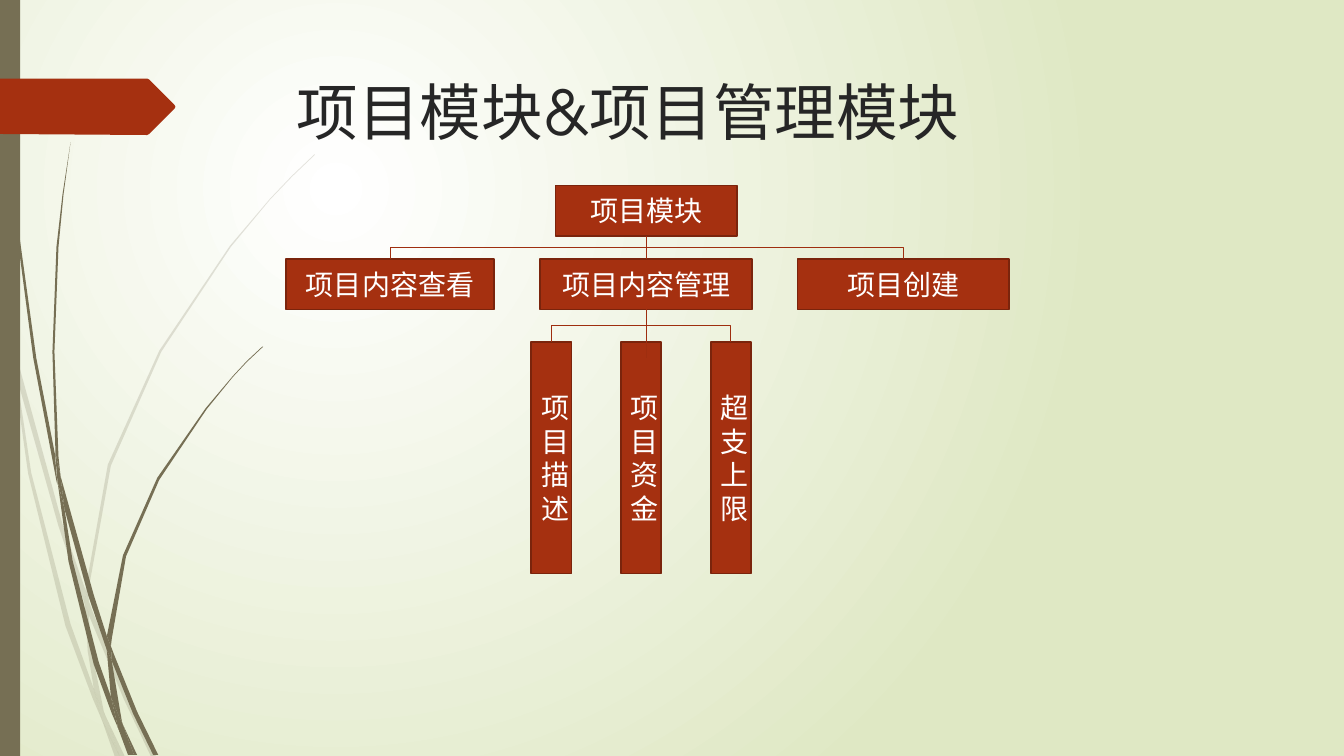
from dataclasses import dataclass

import pptx
import pptx.dml.color
import pptx.enum.dml
import pptx.enum.shapes
import pptx.enum.text
import pptx.oxml.ns
import pptx.util
from lxml import etree

PX = 9144  # EMU in one px: 100 px to the inch
FONT = "TeX Gyre Adventor"
RUST, RUST_EDGE, LINK, OLIVE = "A53010", "7A240C", "9E2E0F", "766F54"

PALE_GRASS = [
    [(11, 350), (9, 322), (0, 282), (0, 299), (10, 344)],
    [(58, 522), (84, 599), (85, 586), (62, 520), (14, 345), (17, 376)],
    [(92, 607), (88, 596), (88, 610), (123, 694), (150, 751), (155, 751), (127, 692)],
    [(119, 751), (124, 751), (105, 711)],
    [(93, 683), (70, 619), (31, 469), (17, 376), (11, 350), (28, 470), (65, 621),
     (92, 693), (101, 714), (99, 707)],
    [(84, 599), (87, 646), (93, 683), (96, 692), (105, 711), (103, 706), (91, 646),
     (88, 610), (88, 608)],
    [(88, 584), (110, 462), (160, 349), (229, 245), (268, 198), (290, 175), (312, 154),
     (312, 153), (289, 175), (268, 197), (228, 244), (158, 348), (107, 461), (85, 584),
     (85, 586), (88, 596)],
    [(101, 714), (114, 751), (119, 751)],
    [(88, 608), (88, 610), (88, 596), (85, 586), (84, 599)],
    [(96, 692), (93, 683), (99, 707), (101, 714), (119, 751), (105, 711)],
]
DARK_GRASS = [
    [(7, 110), (17, 233), (33, 355), (56, 477), (57, 481), (55, 457), (55, 453),
     (36, 355), (19, 232), (8, 109), (5, 48), (4, 0), (3, 0), (4, 48)],
    [(88, 592), (106, 645), (106, 633), (106, 631), (93, 590), (60, 472), (64, 505)],
    [(113, 649), (110, 641), (111, 656), (132, 708), (152, 749), (157, 749), (136, 706)],
    [(110, 691), (98, 657), (72, 556), (64, 505), (57, 477), (68, 557), (93, 659),
     (111, 708), (117, 722), (116, 717)],
    [(60, 472), (58, 453), (54, 349), (58, 245), (63, 193), (70, 141), (62, 193),
     (56, 245), (52, 349), (55, 449)],
    [(133, 749), (136, 749), (122, 719)],
    [(57, 477), (64, 505), (60, 472), (55, 449), (55, 453)],
    [(111, 633), (125, 552), (158, 476), (205, 406), (231, 374), (245, 359), (261, 344),
     (260, 344), (245, 358), (231, 373), (204, 405), (156, 474), (122, 551), (106, 631),
     (110, 641)],
    [(117, 722), (127, 749), (131, 749)],
    [(106, 645), (110, 691), (116, 706), (122, 719), (121, 716), (111, 656), (109, 651)],
    [(106, 645), (109, 651), (111, 656), (110, 641), (106, 631), (106, 633)],
    [(116, 706), (110, 691), (116, 717), (117, 722), (130, 749), (133, 749), (122, 719)],
]
TAG = [(0, 78), (146, 78), (148, 79), (173, 104), (174, 106), (173, 108), (148, 133),
       (146, 134), (0, 133)]


@dataclass
class Box:
    text: str
    left: int
    top: int
    width: int
    height: int = 50


ROOT = Box("项目模块", 551, 184, 180)
MANAGE = Box("项目内容管理", 536, 257, 210)
MODULES = [Box("项目内容查看", 284, 257, 206), MANAGE, Box("项目创建", 791, 257, 210)]
FIELDS = [Box(text, 527 + 89 * i, 339, 40, 230)
          for i, text in enumerate(["项目描述", "项目资金", "超支上限"])]


def emu(px: float) -> pptx.util.Emu:
    return pptx.util.Emu(round(px * PX))


def rgb(colour: str) -> pptx.dml.color.RGBColor:
    return pptx.dml.color.RGBColor.from_string(colour)


def paint(shape, colour: str, edge: str = "", alpha: int = 100) -> None:
    shape.shadow.inherit = False
    shape.fill.solid()
    shape.fill.fore_color.rgb = rgb(colour)
    if alpha < 100:
        clr = shape._element.spPr.find(".//" + pptx.oxml.ns.qn("a:srgbClr"))
        etree.SubElement(clr, pptx.oxml.ns.qn("a:alpha")).set("val", str(alpha * 1000))
    if edge:
        shape.line.color.rgb = rgb(edge)
        shape.line.width = pptx.util.Pt(1.25)
    else:
        shape.line.fill.background()


def style_text(tf, size: int, colour: str, align) -> None:
    p = tf.paragraphs[0]
    p.alignment = align
    font = p.runs[0].font
    font.size, font.name, font.color.rgb = pptx.util.Pt(size), FONT, rgb(colour)


def add_rect(shapes, left: int, top: int, width: int, height: int):
    return shapes.add_shape(pptx.enum.shapes.MSO_SHAPE.RECTANGLE,
                            emu(left), emu(top), emu(width), emu(height))


def add_outline(shapes, points: list, colour: str, alpha: int = 100) -> None:
    builder = shapes.build_freeform(*points[0], scale=PX)
    builder.add_line_segments(points[1:], close=True)
    paint(builder.convert_to_shape(), colour, alpha=alpha)


def add_box(shapes, box: Box):
    sp = add_rect(shapes, box.left, box.top, box.width, box.height)
    paint(sp, RUST, RUST_EDGE)
    sp.text_frame.text = box.text
    style_text(sp.text_frame, 20, "FFFFFF", pptx.enum.text.PP_ALIGN.CENTER)
    return sp


def add_link(shapes, parent, child) -> None:
    """Join a parent's bottom to a child's top, with an elbow if they are not aligned."""
    x1, y1 = parent.left + parent.width // 2, parent.top + parent.height
    x2, y2 = child.left + child.width // 2, child.top
    dx, dy = x2 - x1, y2 - y1
    kinds = pptx.enum.shapes.MSO_CONNECTOR
    near = abs(dx) < emu(10)
    if near and dx:  # runs straight down into the child, beside its middle
        x2, y2 = x1, y2 + emu(16)
    line = shapes.add_connector(kinds.STRAIGHT if near else kinds.ELBOW, x1, y1, x2, y2)
    line.begin_connect(parent, 2)
    if not (near and dx):
        line.end_connect(child, 0)
    if not near:  # the elbow is turned so that it leaves downwards
        xfrm = line._element.spPr.find(pptx.oxml.ns.qn("a:xfrm"))
        xfrm.attrib.clear()
        xfrm.set("rot", "5400000" if dx < 0 else "16200000")
        if dx > 0:
            xfrm.set("flipH", "1")
        line.left, line.top = (x1 + x2 - dy) // 2, (y1 + y2 - abs(dx)) // 2
        line.width, line.height = dy, abs(dx)
    line.line.color.rgb = rgb(LINK)
    line.line.width = pptx.util.Pt(0.75)
    etree.SubElement(line._element.spPr, pptx.oxml.ns.qn("a:effectLst"))


def set_background(s) -> None:
    fill = s.background.fill
    fill.gradient()
    for stop, colour in zip(fill.gradient_stops, ["FFFFFF", "DFE8C4"]):
        stop.color.rgb = rgb(colour)
    grad = s._element.find(".//" + pptx.oxml.ns.qn("a:gradFill"))
    grad.remove(grad.find(pptx.oxml.ns.qn("a:lin")))
    circle = etree.SubElement(grad, pptx.oxml.ns.qn("a:path"), path="circle")
    etree.SubElement(circle, pptx.oxml.ns.qn("a:fillToRect"),
                     l="50000", t="50000", r="100000", b="100000")


def main() -> None:
    prs = pptx.Presentation()
    prs.slide_width, prs.slide_height = emu(1333), emu(750)
    s = prs.slides.add_slide(prs.slide_layouts[5])
    set_background(s)

    for grass, alpha in [(PALE_GRASS, 20), (DARK_GRASS, 100)]:
        group = s.shapes.add_group_shape()
        for blade in grass:
            add_outline(group.shapes, blade, OLIVE, alpha)
    paint(add_rect(s.shapes, 0, 0, 20, 750), OLIVE)
    add_outline(s.shapes, TAG, RUST)

    title = s.shapes.title
    title.left, title.top, title.width, title.height = map(emu, (284, 68, 975, 140))
    title.text_frame.text = "项目模块&项目管理模块"
    title.text_frame.vertical_anchor = pptx.enum.text.MSO_ANCHOR.TOP
    style_text(title.text_frame, 44, "262626", pptx.enum.text.PP_ALIGN.LEFT)

    root = add_box(s.shapes, ROOT)
    modules = [add_box(s.shapes, box) for box in MODULES]
    fields = [add_box(s.shapes, box) for box in FIELDS]
    manage = modules[MODULES.index(MANAGE)]
    for parent, children in [(root, modules), (manage, fields)]:
        for child in children:
            add_link(s.shapes, parent, child)
    prs.save("out.pptx")


if __name__ == "__main__":
    main()
